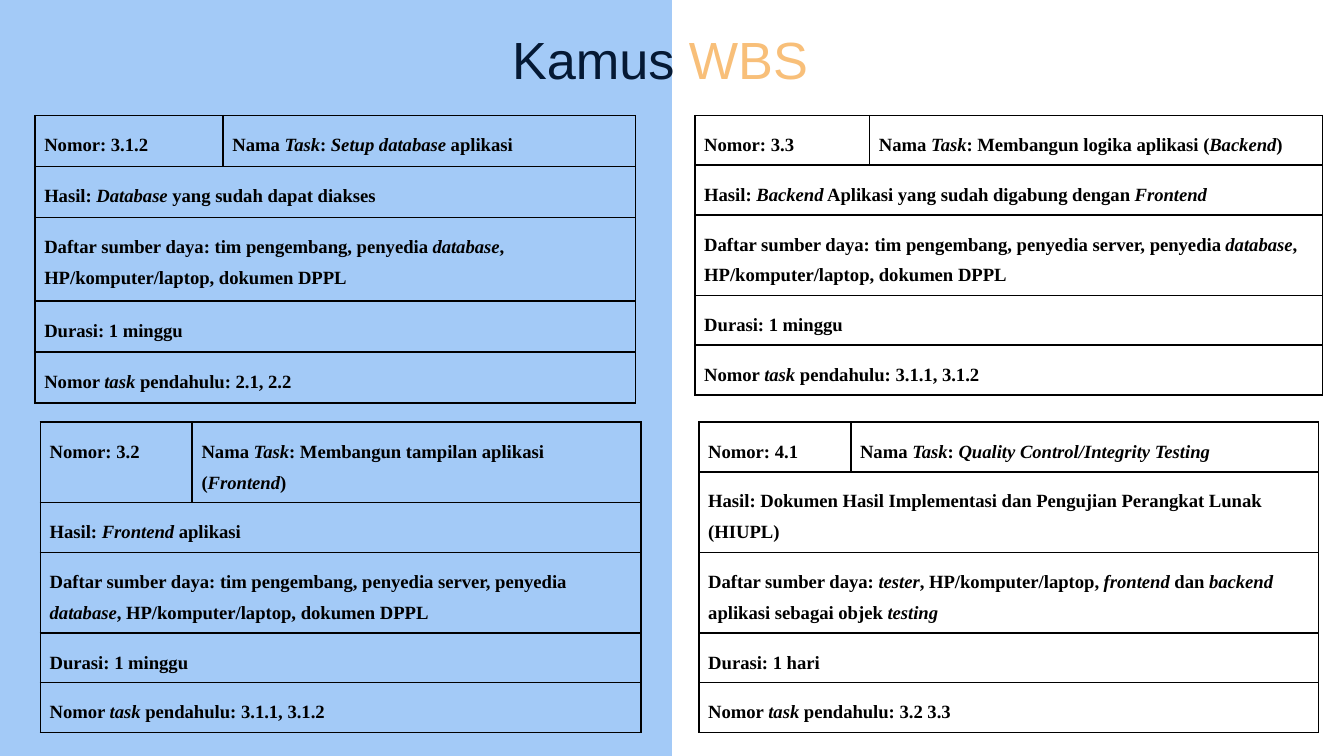
from dataclasses import dataclass

from lxml.etree import SubElement
from pptx import Presentation
from pptx.dml.color import RGBColor
from pptx.enum.shapes import MSO_SHAPE
from pptx.enum.text import MSO_ANCHOR, MSO_AUTO_SIZE, PP_ALIGN
from pptx.oxml.ns import qn
from pptx.slide import Slide
from pptx.table import _Cell
from pptx.util import Inches, Pt


@dataclass(frozen=True)
class Theme:
    panel: str = "A3CAF7"
    title: str = "051934"
    accent: str = "F8BF79"
    ink: str = "000000"
    title_font: str = "Arial"
    table_font: str = "Times New Roman"
    title_size: int = 28
    table_size: int = 10
    border_width: int = 1


@dataclass(frozen=True)
class TaskCard:
    left: float
    top: float
    columns: tuple[float, float]
    rows: tuple[float, ...]
    number: str
    name: str
    result: str
    resources: str
    duration: str
    predecessors: str


THEME = Theme()
SLIDE_WIDTH = 10
SLIDE_HEIGHT = SLIDE_WIDTH * 9 / 16
CELL_MARGIN = 0.07
SINGLE, DOUBLE = 0.37, 0.6
SERVER_TEAM = "tim pengembang, penyedia server, penyedia *database*, HP/komputer/laptop, dokumen DPPL"

CARDS = (
    TaskCard(
        0.26, 0.86, (1.4, 3.07), (0.38, 0.38, 0.62, 0.38, 0.38),
        "3.1.2", "*Setup database* aplikasi",
        "*Database* yang sudah dapat diakses",
        "tim pengembang, penyedia *database*, HP/komputer/laptop, dokumen DPPL",
        "1 minggu", "2.1, 2.2",
    ),
    TaskCard(
        0.3, 3.14, (1.13, 3.34), (DOUBLE, SINGLE, DOUBLE, SINGLE, SINGLE),
        "3.2", "Membangun tampilan aplikasi (*Frontend*)",
        "*Frontend* aplikasi", SERVER_TEAM, "1 minggu", "3.1.1, 3.1.2",
    ),
    TaskCard(
        5.17, 0.86, (1.3, 3.37), (SINGLE, SINGLE, DOUBLE, SINGLE, SINGLE),
        "3.3", "Membangun logika aplikasi (*Backend*)",
        "*Backend* Aplikasi yang sudah digabung dengan *Frontend*",
        SERVER_TEAM, "1 minggu", "3.1.1, 3.1.2",
    ),
    TaskCard(
        5.2, 3.14, (1.13, 3.48), (SINGLE, DOUBLE, DOUBLE, SINGLE, SINGLE),
        "4.1", "*Quality Control/Integrity Testing*",
        "Dokumen Hasil Implementasi dan Pengujian Perangkat Lunak (HIUPL)",
        "*tester*, HP/komputer/laptop,* frontend* dan *backend *aplikasi sebagai objek *testing*",
        "1 hari", "3.2 3.3",
    ),
)


def add_title(slide: Slide) -> None:
    title = slide.shapes.title
    title.left, title.top = Inches(3.71), Inches(0.1)
    title.width, title.height = Inches(2.98), Inches(0.63)
    frame = title.text_frame
    frame.word_wrap = True
    frame.auto_size = MSO_AUTO_SIZE.NONE
    frame.vertical_anchor = MSO_ANCHOR.TOP
    frame.margin_left = frame.margin_right = Inches(0.1)
    frame.margin_top = frame.margin_bottom = Inches(0.1)
    paragraph = frame.paragraphs[0]
    paragraph.alignment = PP_ALIGN.LEFT
    for text, color in (("Kamus ", THEME.title), ("WBS", THEME.accent)):
        run = paragraph.add_run()
        run.text = text
        run.font.name = THEME.title_font
        run.font.size = Pt(THEME.title_size)
        run.font.color.rgb = RGBColor.from_string(color)


def add_panel(slide: Slide) -> None:
    panel = slide.shapes.add_shape(
        MSO_SHAPE.RECTANGLE, 0, 0, Inches(SLIDE_WIDTH / 2), Inches(SLIDE_HEIGHT)
    )
    panel.shadow.inherit = False
    panel.fill.solid()
    panel.fill.fore_color.rgb = RGBColor.from_string(THEME.panel)
    panel.line.fill.background()
    slide.shapes.title.element.addprevious(panel.element)


def style_cell(cell: _Cell) -> None:
    cell.margin_left = cell.margin_right = Inches(CELL_MARGIN)
    cell.margin_top = cell.margin_bottom = Inches(CELL_MARGIN)
    properties = cell._tc.get_or_add_tcPr()
    for side in ("a:lnL", "a:lnR", "a:lnT", "a:lnB"):
        border = SubElement(properties, qn(side), w=str(Pt(THEME.border_width)))
        fill = SubElement(border, qn("a:solidFill"))
        SubElement(fill, qn("a:srgbClr"), val=THEME.ink)
    cell.fill.background()


def write_cell(cell: _Cell, marked_text: str) -> None:
    paragraph = cell.text_frame.paragraphs[0]
    paragraph.line_spacing = 1.5
    for index, text in enumerate(marked_text.split("*")):
        if text:
            run = paragraph.add_run()
            run.text = text
            run.font.name = THEME.table_font
            run.font.size = Pt(THEME.table_size)
            run.font.color.rgb = RGBColor.from_string(THEME.ink)
            run.font.bold = True
            run.font.italic = index % 2 == 1


def add_card(slide: Slide, card: TaskCard) -> None:
    table = slide.shapes.add_table(
        len(card.rows), len(card.columns), Inches(card.left), Inches(card.top),
        Inches(sum(card.columns)), Inches(sum(card.rows)),
    ).table
    table.first_row = False
    table.horz_banding = False
    for column, width in zip(table.columns, card.columns):
        column.width = Inches(width)
    for row, height in zip(table.rows, card.rows):
        row.height = Inches(height)
    for cell in table.iter_cells():
        style_cell(cell)
    write_cell(table.cell(0, 0), f"Nomor: {card.number}")
    write_cell(table.cell(0, 1), f"Nama *Task*: {card.name}")
    details = (
        f"Hasil: {card.result}",
        f"Daftar sumber daya: {card.resources}",
        f"Durasi: {card.duration}",
        f"Nomor *task *pendahulu: {card.predecessors}",
    )
    for row_index, text in enumerate(details, start=1):
        cell = table.cell(row_index, 0)
        cell.merge(table.cell(row_index, 1))
        write_cell(cell, text)


def main() -> None:
    presentation = Presentation()
    presentation.slide_width = Inches(SLIDE_WIDTH)
    presentation.slide_height = Inches(SLIDE_HEIGHT)
    slide = presentation.slides.add_slide(presentation.slide_layouts[5])
    add_panel(slide)
    add_title(slide)
    for card in CARDS:
        add_card(slide, card)
    presentation.save("out.pptx")


if __name__ == "__main__":
    main()
